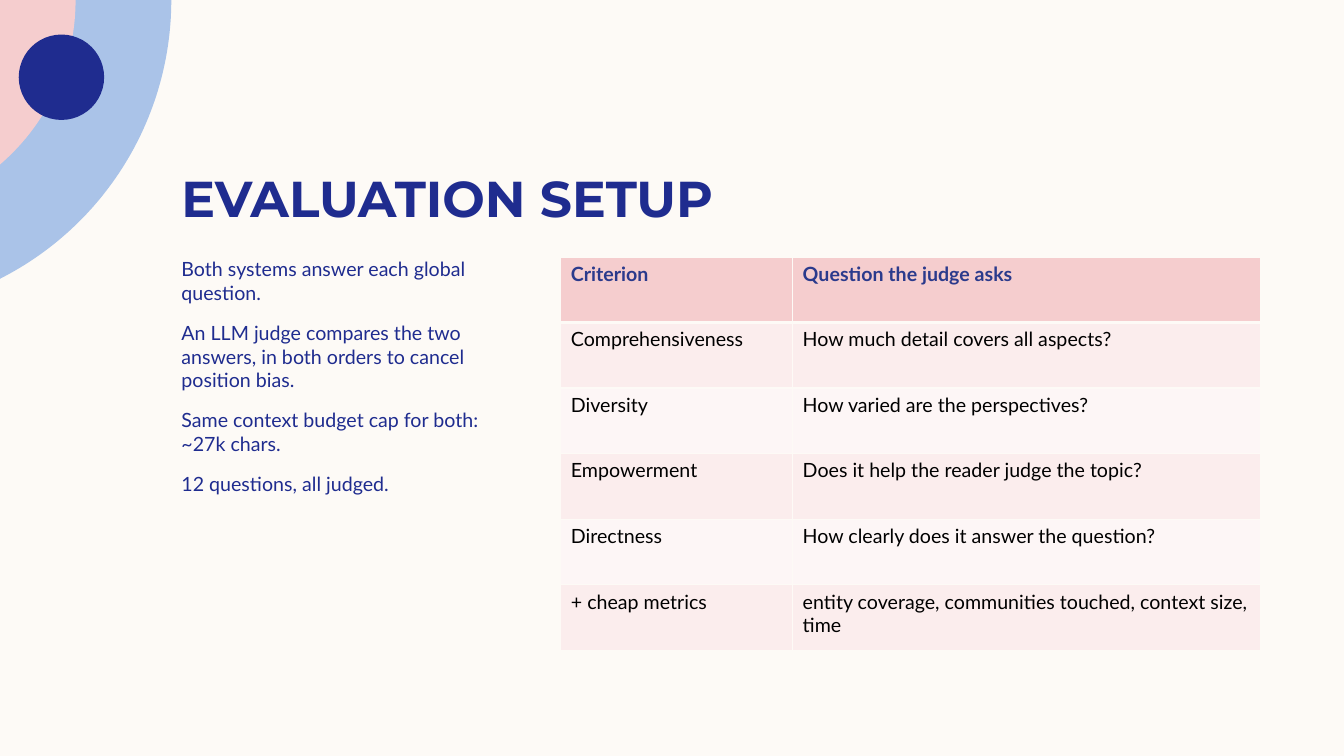
"""Build the evaluation setup slide with a criteria table."""
from math import acos, cos, sin

from lxml.etree import SubElement
from pptx import Presentation
from pptx.dml.color import RGBColor
from pptx.enum.shapes import MSO_SHAPE as Preset
from pptx.enum.text import MSO_ANCHOR as Anchor, MSO_AUTO_SIZE as AutoSize, PP_ALIGN as Align
from pptx.oxml.ns import qn
from pptx.util import Pt

COLORS = {
    "cream": "FDFAF6", "navy": "1F2C8F", "blue": "AAC3E8", "pink": "F5CDCE",
    "header": "2B3A8C", "black": "000000", "dark band": "FBEDED", "light band": "FDF6F6",
}
POINTS = [
    "Both systems answer each global question.",
    "An LLM judge compares the two answers, in both orders to cancel position bias.",
    "Same context budget cap for both: ~27k chars.",
    "12 questions, all judged.",
]
CRITERIA = [
    ("Criterion", "Question the judge asks"),
    ("Comprehensiveness", "How much detail covers all aspects?"),
    ("Diversity", "How varied are the perspectives?"),
    ("Empowerment", "Does it help the reader judge the topic?"),
    ("Directness", "How clearly does it answer the question?"),
    ("+ cheap metrics", "entity coverage, communities touched, context size, time"),
]
COLUMN_WIDTHS = (165.6, 334.1)
ROW_HEIGHT = 46.8
RING_OFFSET = 100.8
ARC_STEPS = 60


def paint(shape, color):
    shape.shadow.inherit = False
    shape.fill.solid()
    shape.fill.fore_color.rgb = RGBColor.from_string(COLORS[color])
    shape.line.fill.background()


def style(paragraph, font, size, color, bold=False):
    paragraph.alignment = Align.LEFT
    paragraph.font.name = font
    paragraph.font.size = Pt(size)
    paragraph.font.bold = bold
    paragraph.font.color.rgb = RGBColor.from_string(COLORS[color])


deck = Presentation()
deck.slide_width, deck.slide_height = Pt(960), Pt(540)
page = deck.slides.add_slide(deck.slide_layouts[1])
page.background.fill.solid()
page.background.fill.fore_color.rgb = RGBColor.from_string(COLORS["cream"])

for radius, color in ((223.2, "blue"), (154.8, "pink")):
    sweep = acos(RING_OFFSET / radius)
    angles = [sweep * step / ARC_STEPS for step in range(ARC_STEPS + 1)]
    arc = [(Pt(radius * cos(a) - RING_OFFSET), Pt(radius * sin(a))) for a in angles]
    outline = page.shapes.build_freeform(0, 0)
    outline.add_line_segments(arc, close=True)
    paint(outline.convert_to_shape(), color)
dot = page.shapes.add_shape(Preset.OVAL, Pt(13.4), Pt(24.7), Pt(61), Pt(61))
paint(dot, "navy")

title, body = page.shapes.title, page.placeholders[1]
for box, top, width, height, anchor in (
    (title, 85.7, 777.6, 77, Anchor.BOTTOM),
    (body, 183.6, 234, 291.6, Anchor.TOP),
):
    box.left, box.top, box.width, box.height = Pt(122.4), Pt(top), Pt(width), Pt(height)
    frame = box.text_frame
    frame.word_wrap = True
    frame.auto_size = AutoSize.NONE
    frame.vertical_anchor = anchor
    frame.margin_left = frame.margin_right = Pt(7.2)
    frame.margin_top = frame.margin_bottom = 0

title.text_frame.text = "EVALUATION SETUP"
style(title.text_frame.paragraphs[0], "Montserrat", 36, "navy", True)

body.text_frame.text = "\n".join(POINTS)
for para in body.text_frame.paragraphs:
    properties = para._p.get_or_add_pPr()
    properties.set("marL", "0")
    properties.set("indent", "0")
    SubElement(properties, qn("a:buNone"))
    para.space_before, para.space_after = Pt(0), Pt(12)
    style(para, "Lato", 14, "navy")

table = page.shapes.add_table(
    len(CRITERIA), len(COLUMN_WIDTHS), Pt(400.6), Pt(183.6),
    Pt(sum(COLUMN_WIDTHS)), Pt(ROW_HEIGHT * len(CRITERIA)),
).table
for column, width in zip(table.columns, COLUMN_WIDTHS):
    column.width = Pt(width)
for row_index, texts in enumerate(CRITERIA):
    table.rows[row_index].height = Pt(ROW_HEIGHT)
    header = row_index == 0
    band = "pink" if header else "dark band" if row_index % 2 else "light band"
    for column_index, text in enumerate(texts):
        cell = table.cell(row_index, column_index)
        cell.text = text
        style(cell.text_frame.paragraphs[0], "Lato", 14, "header" if header else "black", header)
        properties = cell._tc.get_or_add_tcPr()
        for side in ("L", "R", "T", "B"):
            thick = (header and side == "B") or (row_index == 1 and side == "T")
            border = SubElement(properties, qn(f"a:ln{side}"), w=str(Pt(3 if thick else 1)))
            fill = SubElement(border, qn("a:solidFill"))
            SubElement(fill, qn("a:srgbClr"), val=COLORS["cream"])
        cell.fill.solid()
        cell.fill.fore_color.rgb = RGBColor.from_string(COLORS[band])

deck.save("out.pptx")
